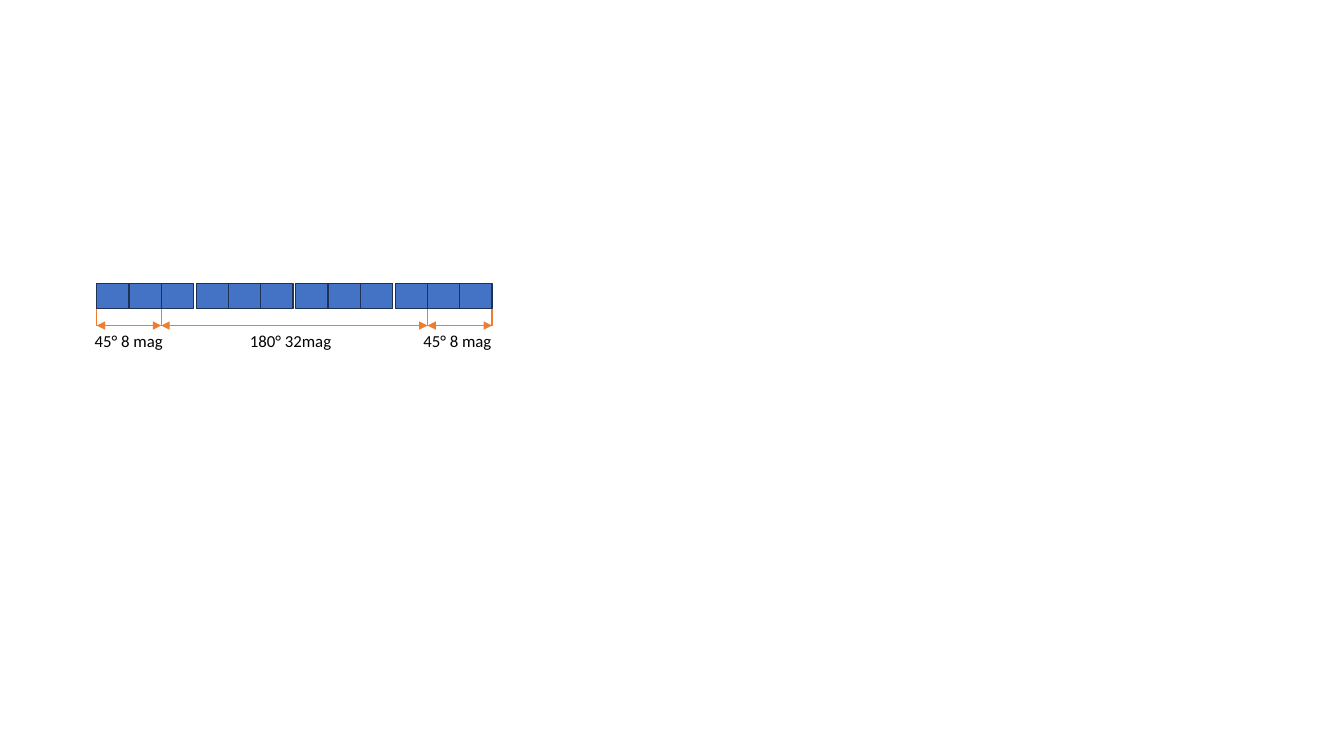
from dataclasses import dataclass

from lxml import etree
from pptx import Presentation
from pptx import util as u
from pptx.dml.color import RGBColor
from pptx.enum import shapes, text
from pptx.oxml.ns import qn


@dataclass
class Theme:
    fill: str = "4472C4"
    edge: str = "1E3256"
    mark: str = "ED7D31"
    ink: str = "000000"
    font: str = "Calibri"
    size: float = 12
    line: float = 1


class Board:
    def __init__(self, slide, theme):
        self.slide = slide
        self.theme = theme

    def pen(self, shape, color):
        shape.line.color.rgb = RGBColor.from_string(color)
        shape.line.width = u.Pt(self.theme.line)

    def cell(self, x, y, w, h):
        box = self.slide.shapes.add_shape(
            shapes.MSO_SHAPE.RECTANGLE, *map(u.Inches, (x, y, w, h)))
        box.shadow.inherit = False
        box.fill.solid()
        box.fill.fore_color.rgb = RGBColor.from_string(self.theme.fill)
        self.pen(box, self.theme.edge)
        return box

    def rule(self, x1, y1, x2, y2, arrows=False):
        link = self.slide.shapes.add_connector(
            shapes.MSO_CONNECTOR.STRAIGHT, *map(u.Inches, (x1, y1, x2, y2)))
        self.pen(link, self.theme.mark)
        if arrows:
            line = link.line._get_or_add_ln()
            for end in ("a:headEnd", "a:tailEnd"):
                etree.SubElement(line, qn(end), type="triangle")
        etree.SubElement(link._element.spPr, qn("a:effectLst"))
        return link

    def label(self, words, x, y, w, h, wrap=True):
        box = self.slide.shapes.add_textbox(*map(u.Inches, (x, y, w, h)))
        frame = box.text_frame
        frame.word_wrap = wrap
        frame.auto_size = text.MSO_AUTO_SIZE.SHAPE_TO_FIT_TEXT
        run = frame.paragraphs[0].add_run()
        run.text = words
        style = {"name": self.theme.font, "size": u.Pt(self.theme.size)}
        for key, value in style.items():
            setattr(run.font, key, value)
        run.font.color.rgb = RGBColor.from_string(self.theme.ink)


LEFT, TOP = 0.96, 2.81
WIDE, HIGH = 0.32, 0.25
GROUPS, EACH = 4, 3
PITCH = (3.92 - LEFT) / (GROUPS - 1)
BASE = 3.23

# Each mark: x, index of the cell it hangs from, side of that cell
MARKS = [(0.96, 0, 1), (1.6, 2, 1), (4.24, 10, 1), (4.88, 11, 3)]
LABELS = [
    ("45° 8 mag", 0.84, 0.89, True),
    ("180° 32mag", 2.38, 1.06, False),
    ("45° 8 mag", 4.1, 0.9, True),
]


def main():
    deck = Presentation()
    deck.slide_width, deck.slide_height = u.Inches(13.33), u.Inches(7.5)
    board = Board(deck.slides.add_slide(deck.slide_layouts[6]), Theme())

    # Marks are drawn first so that the cells cover their upper ends
    drops = [board.rule(x, TOP + HIGH / 2, x, BASE) for x, _, _ in MARKS]
    cells = [board.cell(LEFT + g * PITCH + n * WIDE, TOP, WIDE, HIGH)
             for g in range(GROUPS) for n in range(EACH)]
    for drop, (_, index, side) in zip(drops, MARKS):
        drop.begin_connect(cells[index], side)

    for (start, _, _), (end, _, _) in zip(MARKS, MARKS[1:]):
        board.rule(start, BASE, end, BASE, arrows=True)
    for words, x, width, wrap in LABELS:
        board.label(words, x, BASE, width, 0.3, wrap)

    deck.save("out.pptx")


if __name__ == "__main__":
    main()
